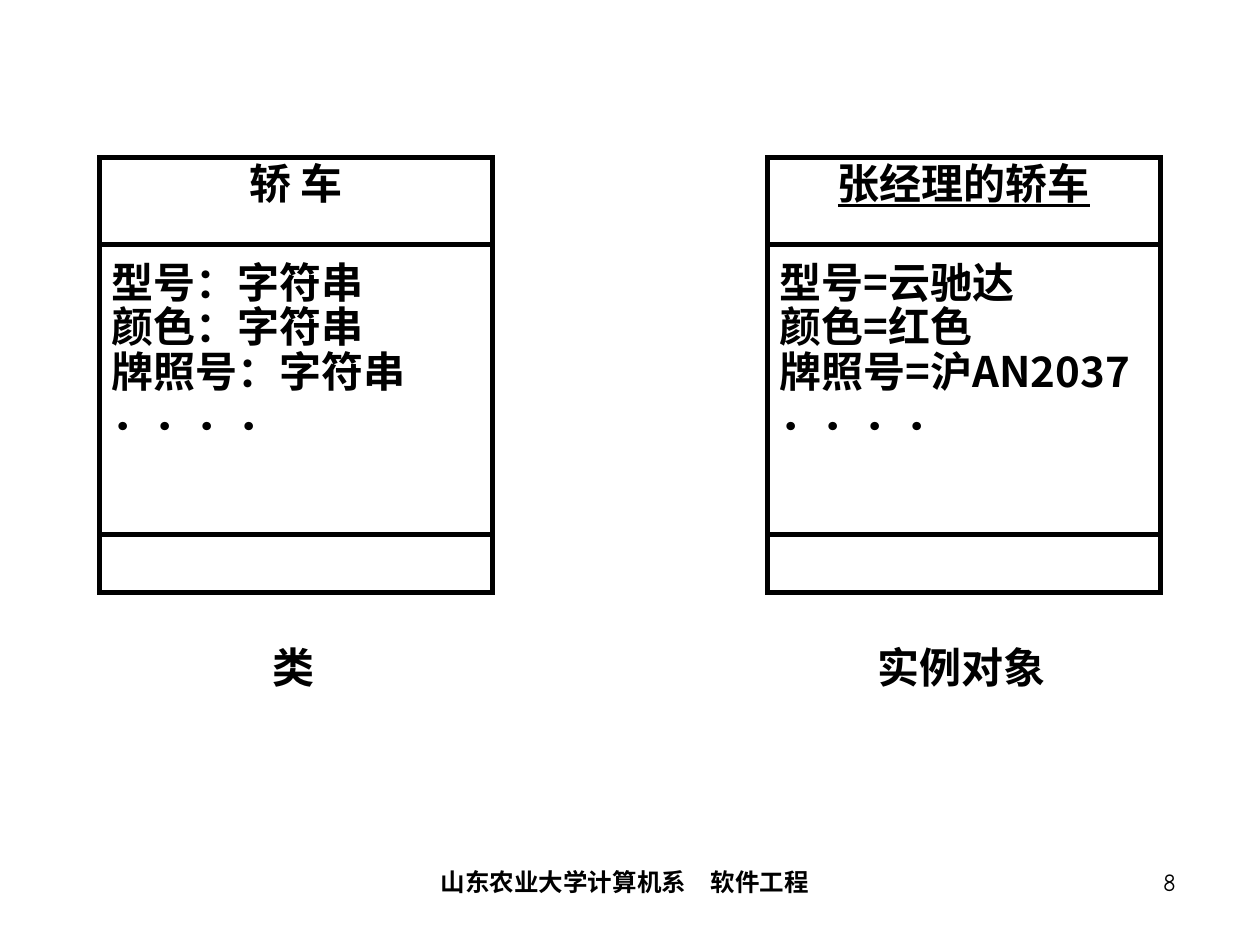
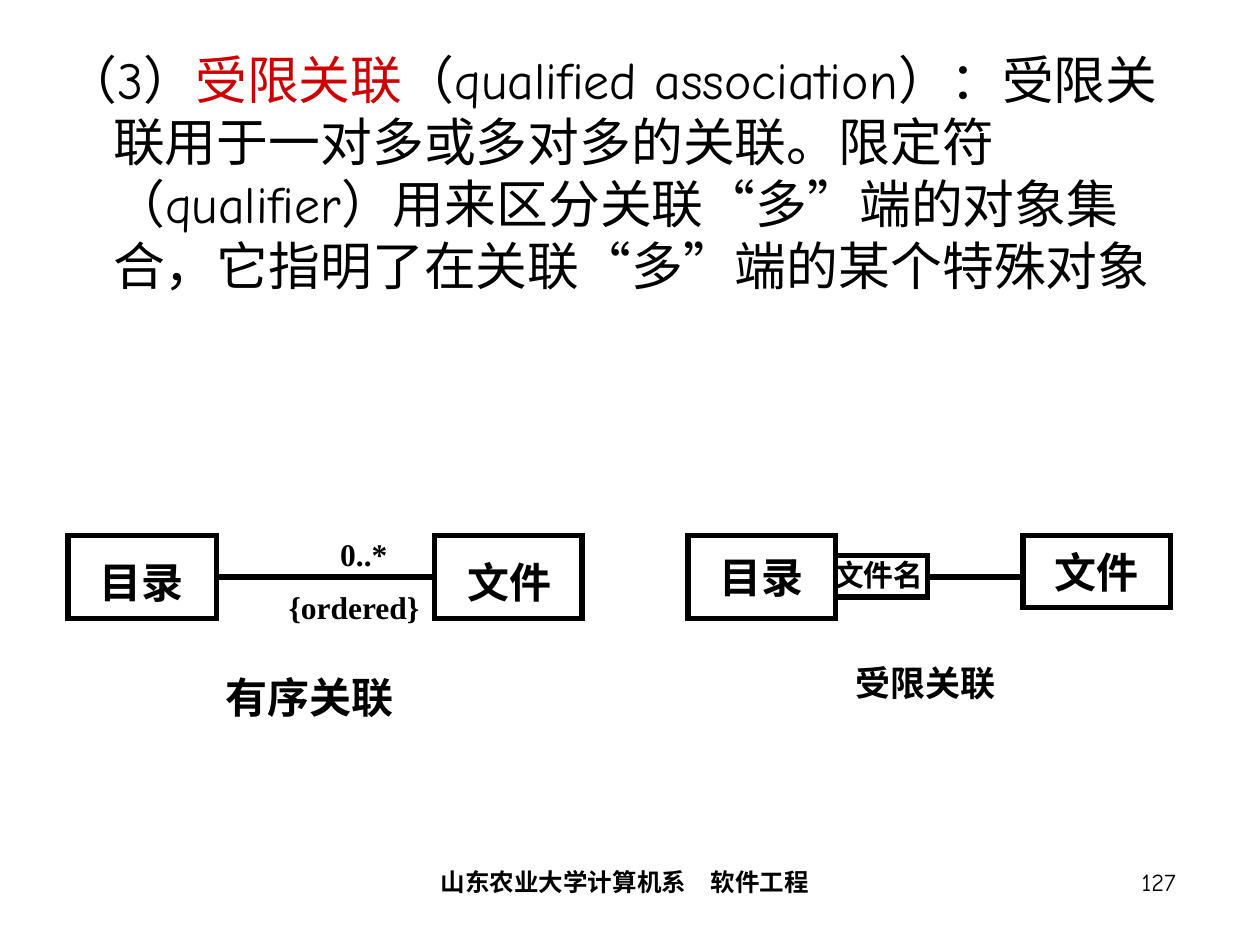
"""Build two slides on classes, instances and qualified associations."""
from lxml.etree import SubElement
from pptx import Presentation
from pptx.dml.color import RGBColor
from pptx.enum.shapes import MSO_CONNECTOR, MSO_SHAPE
from pptx.enum.text import MSO_ANCHOR, PP_ALIGN
from pptx.oxml.ns import qn
from pptx.util import Inches, Pt

COLORS = {"ink": "000000", "term": "CC0000"}
CJK, SERIF, COMIC = "Noto Sans CJK SC", "Times New Roman", "Comic Neue"
CENTER, RIGHT, JUSTIFY, LEFT = PP_ALIGN.CENTER, PP_ALIGN.RIGHT, PP_ALIGN.JUSTIFY, PP_ALIGN.LEFT
TIGHT = {"margin_left": 0, "margin_right": 0, "margin_top": 0, "margin_bottom": 0, "word_wrap": False}
PADDED = {"margin_left": Inches(0.1), "margin_right": Inches(0.1),
          "margin_top": Inches(0.05), "margin_bottom": Inches(0.05), "word_wrap": True}
MIDDLE = PADDED | {"word_wrap": False, "vertical_anchor": MSO_ANCHOR.MIDDLE}

deck = Presentation()
deck.slide_width, deck.slide_height = Inches(10), Inches(7.5)
CELL = deck.slide_width / 100


def add_box(slide, place, paragraphs=(), frame=PADDED, outlined=False):
    """Place a box on the 100 by 75 grid; a paragraph is (format, runs), a run is (text, font, color)."""
    area = [round(n * CELL) for n in place]
    if outlined:
        box = slide.shapes.add_shape(MSO_SHAPE.RECTANGLE, *area)
        box.shadow.inherit = False
        box.fill.background()
        box.line.color.rgb = RGBColor.from_string(COLORS["ink"])
        box.line.width = Pt(3)
        SubElement(box.line._get_or_add_ln(), qn("a:miter")).set("lim", "800000")
    else:
        box = slide.shapes.add_textbox(*area)
    text = box.text_frame
    text.vertical_anchor = MSO_ANCHOR.TOP
    for key, value in frame.items():
        setattr(text, key, value)
    for number, (layout, runs) in enumerate(paragraphs):
        paragraph = text.add_paragraph() if number else text.paragraphs[0]
        for key, value in layout.items():
            setattr(paragraph, key, value)
        for words, font, color in runs:
            run = paragraph.add_run()
            run.text = words
            for key, value in font.items():
                setattr(run.font, key, value)
            run.font.color.rgb = RGBColor.from_string(COLORS[color])
            SubElement(run.font._element, qn("a:ea")).set("typeface", CJK)
    return box


def add_rule(slide, *ends):
    """Draw a heavy straight line between two grid points."""
    rule = slide.shapes.add_connector(MSO_CONNECTOR.STRAIGHT, *[round(n * CELL) for n in ends])
    rule.line.color.rgb = RGBColor.from_string(COLORS["ink"])
    rule.line.width = Pt(3)
    SubElement(rule._element.spPr, qn("a:effectLst"))


class_slide, association_slide = [deck.slides.add_slide(deck.slide_layouts[6]) for _ in range(2)]
heading = {"size": Pt(24), "name": CJK, "bold": True}
caption = heading | {"name": SERIF}

classes = [
    (7.9, "轿 车", False, JUSTIFY,
     ["型号：字符串", "颜色：字符串", "牌照号：字符串", "．．．．"], "类", (18.3, 10)),
    (60.9, "张经理的轿车", True, LEFT,
     ["型号=云驰达", "颜色=红色", "牌照号=沪AN2037", "．．．．"], "实例对象", (66.7, 19.2)),
]
for left, name, underlined, align, attributes, kind, (kind_left, kind_width) in classes:
    compartments = [({"alignment": CENTER, "line_spacing": 0.88},
                     [(name, heading | {"underline": underlined}, "ink")])]
    for row, attribute in enumerate(attributes):
        compartments.append(({"alignment": align, "line_spacing": 0.88, "space_before": Pt(0 if row else 31.5)},
                             [(attribute, heading, "ink")]))
    add_box(class_slide, (left, 12.5, 31.2, 34.5), compartments, outlined=True)
    for divider in (19.4, 42.4):
        add_rule(class_slide, left, divider, left + 31.2, divider)
    add_box(class_slide, (kind_left, 50, kind_width, 5.8),
            [({"alignment": CENTER}, [(kind, caption, "ink")])], MIDDLE)

body = {"size": Pt(29.6), "name": COMIC}
definition = add_box(association_slide, (4.2, 3.3, 91.7, 26.7), [({"alignment": LEFT}, [
    ("（3）", body, "ink"),
    ("受限关联", body, "term"),
    ("（qualified association）：受限关联用于一对多或多对多的关联。限定符（qualifier）"
     "用来区分关联“多”端的对象集合，它指明了在关联“多”端的某个特殊对象", body, "ink")])])
hanging = definition.text_frame.paragraphs[0]._p.get_or_add_pPr()
for key, value in {"marL": Inches(0.38), "indent": -Inches(0.38), "hangingPunct": 0}.items():
    hanging.set(key, str(value))

add_rule(association_slide, 17, 45.8, 34.3, 45.8)
add_rule(association_slide, 73.6, 45.8, 81, 45.8)
for place in [(5.4, 42.5, 11.8, 6.6), (34.5, 42.5, 11.7, 6.6), (66.3, 44.1, 7.3, 3.3)]:
    add_box(association_slide, place, outlined=True)
for place, name in [((54.6, 42.5, 11.7, 6.6), "目录"), ((81.2, 42.5, 11.7, 5.7), "文件")]:
    add_box(association_slide, place, [({"alignment": CENTER}, [(name, caption, "ink")])], MIDDLE, True)

labels = [
    ((7.9, 44.2, 6.7, 4), "目录", heading, False),
    ((37.1, 44.2, 6.7, 4), "文件", heading, False),
    ((27, 42.5, 3.8, 3), "0..*", caption | {"size": Pt(18)}, False),
    ((22.9, 46.7, 10.4, 3), "{ordered}", caption | {"size": Pt(18)}, False),
    ((17.9, 53.3, 15.8, 4), "有序关联", caption, True),
    ((66.2, 44.2, 7.1, 2.8), "文件名", heading | {"size": Pt(17)}, False),
    ((67.9, 52.5, 13.9, 3.3), "受限关联", caption | {"size": Pt(20)}, True),
]
for place, words, font, wraps in labels:
    add_box(association_slide, place, [({"alignment": LEFT}, [(words, font, "ink")])],
            TIGHT | {"word_wrap": wraps})

footer = {"size": Pt(14), "name": COMIC}
for slide, page in [(class_slide, "8"), (association_slide, "127")]:
    add_box(slide, (20, 68.3, 59.2, 5),
            [({"alignment": CENTER}, [("山东农业大学计算机系　软件工程", footer | {"bold": True}, "ink")])])
    add_box(slide, (73.5, 68.3, 20.8, 5), [({"alignment": RIGHT}, [(page, footer, "ink")])])

deck.save("out.pptx")
